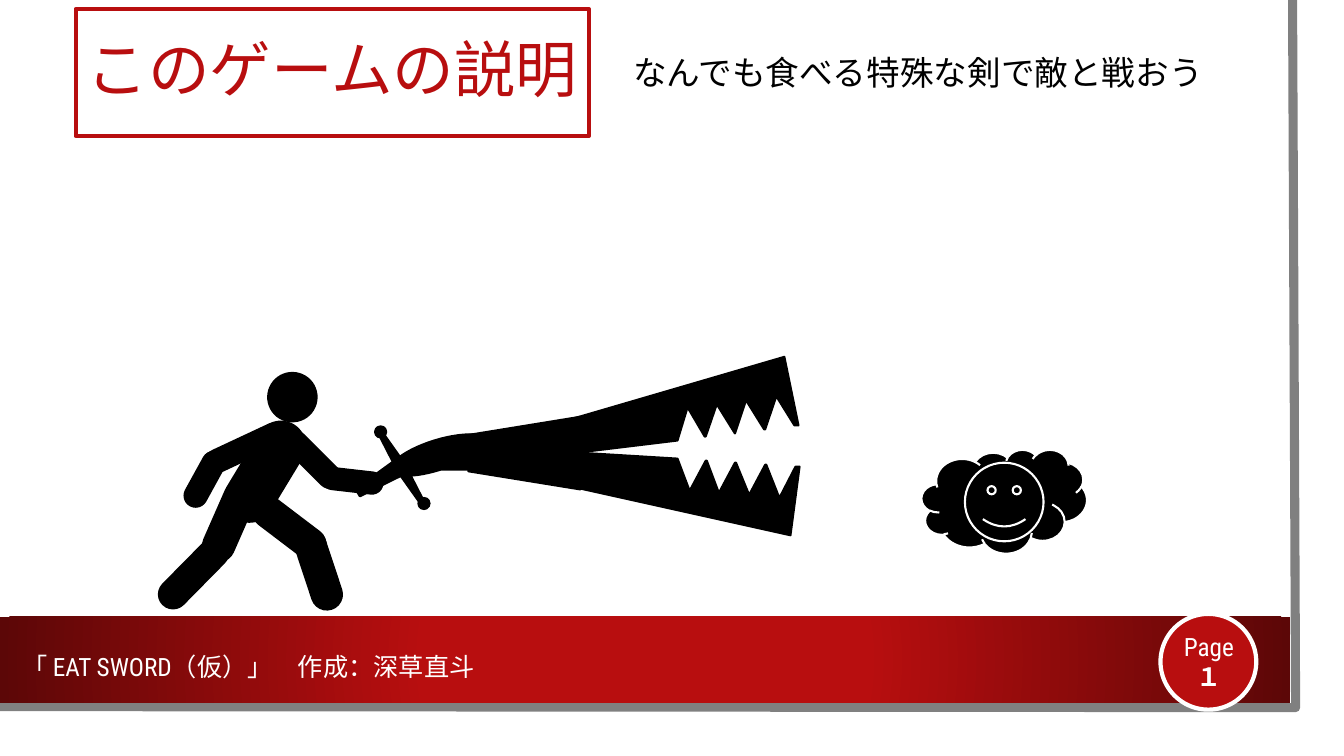
from dataclasses import dataclass
from typing import Any, Optional

import lxml.etree
import pptx
import pptx.dml.color
import pptx.enum.shapes
import pptx.enum.text
import pptx.oxml.ns
import pptx.util

PX = 9144  # EMU in one px, at 100 px to the inch
RED, DARK_RED, BLACK, WHITE, GREY = "B80E0F", "5C0707", "000000", "FFFFFF", "808080"
LATIN_FONT, JAPANESE_FONT = "Roboto Condensed", "Noto Sans CJK JP"
KIND = pptx.enum.shapes.MSO_SHAPE
ALIGN = pptx.enum.text.PP_ALIGN
ANCHOR = pptx.enum.text.MSO_ANCHOR

Point = tuple[float, float]


@dataclass(frozen=True)
class Part:
    kind: Any
    left: int
    top: int
    width: int
    height: int
    rotation: float = 0
    adjustment: Optional[float] = None


def emu(length: float) -> int:
    return round(length * PX)


def color(value: str) -> pptx.dml.color.RGBColor:
    return pptx.dml.color.RGBColor.from_string(value)


def paint(shape: Any, fill: Optional[str], line: Optional[str], weight: float = 1.5) -> None:
    shape.shadow.inherit = False
    if fill:
        shape.fill.solid()
        shape.fill.fore_color.rgb = color(fill)
    else:
        shape.fill.background()
    if line:
        shape.line.color.rgb = color(line)
        shape.line.width = pptx.util.Pt(weight)
    else:
        shape.line.fill.background()


def add_part(shapes: Any, part: Part, fill: Optional[str] = BLACK,
             line: Optional[str] = BLACK, weight: float = 1.5) -> Any:
    shape = shapes.add_shape(part.kind, emu(part.left), emu(part.top),
                             emu(part.width), emu(part.height))
    shape.rotation = part.rotation
    if part.adjustment is not None:
        shape.adjustments[0] = part.adjustment
    paint(shape, fill, line, weight)
    return shape


def add_outline(shapes: Any, points: list[Point], close: bool = True) -> Any:
    corners = [(emu(x), emu(y)) for x, y in points]
    builder = shapes.build_freeform(*corners[0])
    builder.add_line_segments(corners[1:], close=close)
    shape = builder.convert_to_shape()
    paint(shape, BLACK, BLACK)
    return shape


def curve(start: Point, first: Point, second: Point, end: Point, steps: int = 12) -> list[Point]:
    """Points along a cubic curve, without its start."""
    points = []
    for step in range(1, steps + 1):
        t = step / steps
        weights = ((1 - t) ** 3, 3 * t * (1 - t) ** 2, 3 * t * t * (1 - t), t ** 3)
        controls = (start, first, second, end)
        points.append((sum(w * p[0] for w, p in zip(weights, controls)),
                       sum(w * p[1] for w, p in zip(weights, controls))))
    return points


def add_text(slide: Any, text: str, left: int, top: int, width: int, height: int, *,
             size: int, text_color: str, align: Any = ALIGN.LEFT, anchor: Any = ANCHOR.TOP,
             spacing: float = 1.0, side_inset: int = 10) -> Any:
    box = slide.shapes.add_textbox(emu(left), emu(top), emu(width), emu(height))
    frame = box.text_frame
    frame.word_wrap = True
    frame.vertical_anchor = anchor
    frame.margin_left = frame.margin_right = emu(side_inset)
    frame.text = text
    for paragraph in frame.paragraphs:
        paragraph.alignment = align
        paragraph.line_spacing = spacing
        for run in paragraph.runs:
            run.font.size = pptx.util.Pt(size)
            run.font.name = LATIN_FONT
            run.font.color.rgb = color(text_color)
            east_asian = lxml.etree.SubElement(run.font._element, pptx.oxml.ns.qn("a:ea"))
            east_asian.set("typeface", JAPANESE_FONT)
    return box


def fill_from_center(shape: Any, stops: list[tuple[int, str]]) -> None:
    """Radial gradient; each stop is a percentage and a colour."""
    shape.fill.gradient()
    gradient = shape._element.spPr.find(pptx.oxml.ns.qn("a:gradFill"))
    for child in list(gradient):
        gradient.remove(child)

    def add(parent: Any, tag: str, **attributes: str) -> Any:
        return lxml.etree.SubElement(parent, pptx.oxml.ns.qn(tag), attributes)

    stop_list = add(gradient, "a:gsLst")
    for percent, value in stops:
        add(add(stop_list, "a:gs", pos=str(percent * 1000)), "a:srgbClr", val=value)
    center = add(gradient, "a:path", path="circle")
    add(center, "a:fillToRect", l="50000", t="50000", r="50000", b="50000")


FIGHTER = [
    Part(KIND.OVAL, 266, 370, 48, 48, 354),  # head
    *(Part(KIND.ROUNDED_RECTANGLE, *limb, 0.5) for limb in [
        (232, 403, 22, 83, 64.9), (192, 446, 22, 59, 28.8), (339, 447, 21, 60, 276.5),
        (212, 475, 31, 84, 23.7), (239, 414, 48, 108, 31.2), (178, 526, 28, 86, 44.6),
        (299, 421, 22, 70, 315), (272, 483, 30, 82, 307.2), (301, 524, 30, 82, 341.7)]),
]
SWORD = [
    Part(KIND.TRAPEZOID, 382, 424, 10, 43, 328.8, 0.31),
    Part(KIND.TRAPEZOID, 368, 450, 17, 51, 238.8),
    Part(KIND.OVAL, 372, 423, 11, 11),
    Part(KIND.TRAPEZOID, 404, 461, 10, 43, 148.8, 0.31),
    Part(KIND.OVAL, 415, 494, 11, 11),
    Part(KIND.TRAPEZOID, 484, 394, 72, 111, 270),
]
UPPER_JAW = [(778, 354), (792, 422), (788, 422), (770, 393), (759, 426), (758, 426),
             (740, 397), (729, 430), (711, 401), (700, 433), (699, 433), (682, 404),
             (672, 437), (573, 449), (566, 416)]
LOWER_JAW = [(784, 531), (793, 463), (789, 463), (773, 494), (760, 461), (759, 461),
             (743, 491), (730, 459), (729, 459), (713, 489), (701, 457), (700, 457),
             (684, 487), (672, 455), (573, 449), (568, 483)]
BLADE_ROOT = [
    (466, 431),
    *curve((466, 431), (475, 431), (482, 433), (483, 437)),
    *curve((483, 437), (484, 442), (477, 448), (465, 455)),
    (466, 455), (466, 466), (437, 466), (430, 468),
    *curve((430, 468), (408, 474), (390, 473), (388, 466)),
    *curve((388, 466), (386, 458), (405, 445), (431, 437)),
    *curve((431, 437), (444, 433), (457, 431), (466, 431)),
]
ENEMY = [Part(KIND.CLOUD, 914, 446, 164, 103), Part(KIND.SMILEY_FACE, 957, 459, 78, 78)]


def main() -> None:
    presentation = pptx.Presentation()
    presentation.slide_width, presentation.slide_height = emu(1333), emu(750)
    slide = presentation.slides.add_slide(presentation.slide_layouts[6])

    # Page card, its grey edge and the footer band
    add_part(slide.shapes, Part(KIND.RECTANGLE, 0, 0, 1310, 727), WHITE, None)
    edge = add_outline(slide.shapes, [(1282, 0), (1285, 702), (0, 701)], close=False)
    paint(edge, None, GREY, 6.5)
    band = add_part(slide.shapes, Part(KIND.RECTANGLE, 0, 612, 1280, 85), line=None)
    fill_from_center(band, [(34, RED), (100, DARK_RED)])

    # Title, subtitle and footer text
    title = add_text(slide, "このゲームの説明", 75, 9, 509, 126, size=44, text_color=RED,
                     align=ALIGN.CENTER, anchor=ANCHOR.MIDDLE, spacing=0.9, side_inset=5)
    title.line.color.rgb = color(RED)
    title.line.width = pptx.util.Pt(3)
    add_text(slide, "なんでも食べる特殊な剣で敵と戦おう", 618, 47, 615, 50,
             size=24, text_color=BLACK)
    add_text(slide, "「 EAT SWORD（仮）」　作成：深草直斗", 12, 641, 532, 40,
             size=18, text_color=WHITE)

    # Page badge
    add_part(slide.shapes, Part(KIND.OVAL, 1151, 609, 95, 95), RED, WHITE, 3)
    page = add_text(slide, "Page\n１", 1145, 621, 108, 71, size=18, text_color=WHITE,
                    align=ALIGN.CENTER)
    number = page.text_frame.paragraphs[1].runs[0]
    number.font.name = JAPANESE_FONT
    number.font.bold = True

    # Fighter with the eating sword
    fighter = slide.shapes.add_group_shape()
    for part in FIGHTER + SWORD:
        add_part(fighter.shapes, part)
    for outline in (UPPER_JAW, LOWER_JAW, BLADE_ROOT):
        add_outline(fighter.shapes, outline)

    # Enemy
    enemy = slide.shapes.add_group_shape()
    for part in ENEMY:
        add_part(enemy.shapes, part, line=WHITE)

    presentation.save("out.pptx")


if __name__ == "__main__":
    main()
